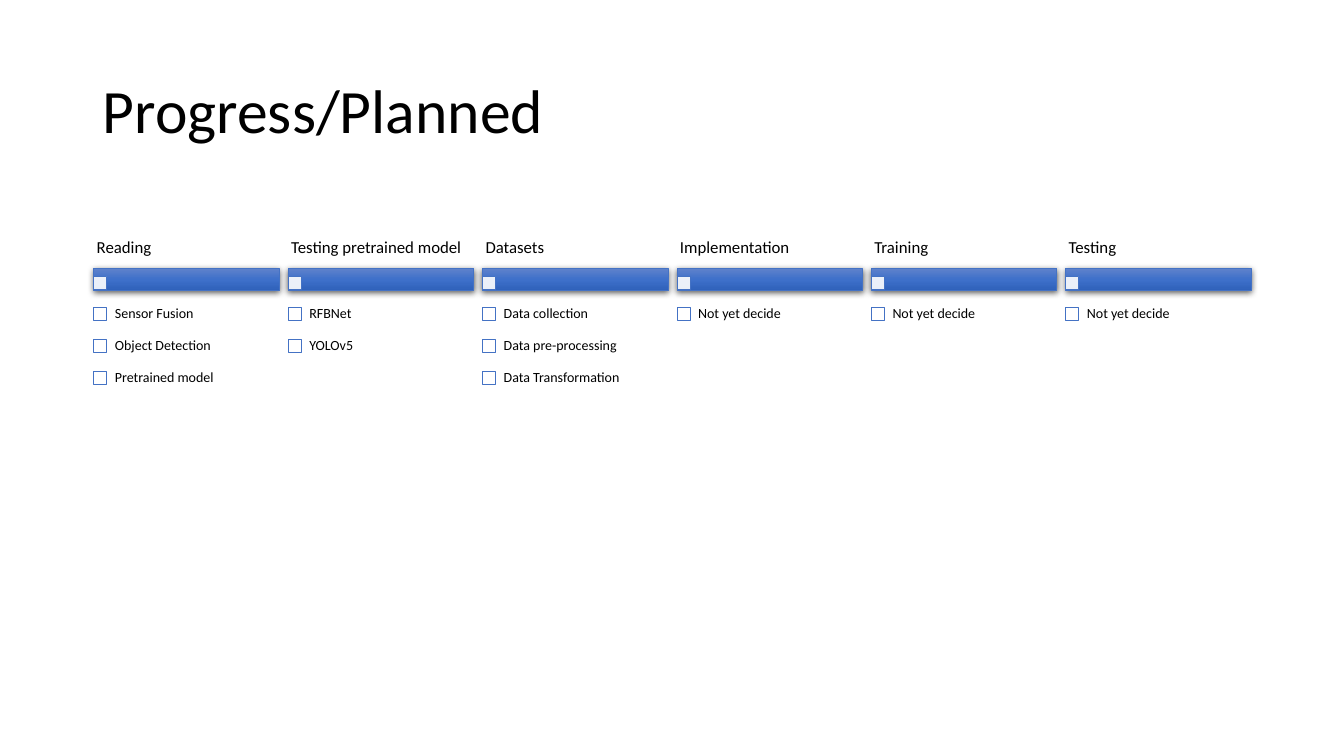
from copy import deepcopy
from dataclasses import dataclass

from lxml import etree
from pptx import Presentation
from pptx.dml.color import RGBColor
from pptx.enum import shapes, text
from pptx.oxml.ns import qn
from pptx.util import Inches, Pt

COLORS = {
    "text": "000000",
    "line": "4472C4",
    "box": "FFFFFF",
    "bar_top": "6183CB",
    "bar_middle": "3E70CA",
    "bar_bottom": "3062BB",
}
FONT = "Calibri"
LEFT, COLUMN_STEP, COLUMN_WIDTH = 0.93, 1.928, 1.84
ITEM_TOP, ITEM_STEP, ITEM_HEIGHT = 2.96, 0.315, 0.31
BOX = 0.13


@dataclass
class Phase:
    title: str
    tasks: list[str]


PHASES = [
    Phase("Reading", ["Sensor Fusion", "Object Detection", "Pretrained model"]),
    Phase("Testing pretrained model", ["RFBNet", "YOLOv5"]),
    Phase("Datasets", ["Data collection", "Data pre-processing", "Data Transformation"]),
    Phase("Implementation", ["Not yet decide"]),
    Phase("Training", ["Not yet decide"]),
    Phase("Testing", ["Not yet decide"]),
]


def rgb(name: str) -> RGBColor:
    return RGBColor.from_string(COLORS[name])


def write(tf, content: str, size: float) -> None:
    tf.word_wrap = True
    tf.auto_size = text.MSO_AUTO_SIZE.NONE
    tf.vertical_anchor = text.MSO_ANCHOR.MIDDLE
    p = tf.paragraphs[0]
    p.text = content
    p.alignment = text.PP_ALIGN.LEFT
    p.line_spacing = 0.9
    p.font.name = FONT
    p.font.size = Pt(size)
    p.font.color.rgb = rgb("text")


def add_label(s, content: str, x: float, y: float, w: float, h: float,
              size: float, inset_x: float, inset_y: float) -> None:
    tf = s.shapes.add_textbox(Inches(x), Inches(y), Inches(w), Inches(h)).text_frame
    tf.margin_left = tf.margin_right = Inches(inset_x)
    tf.margin_top = tf.margin_bottom = Inches(inset_y)
    write(tf, content, size)


def add_rect(s, x: float, y: float, w: float, h: float):
    sp = s.shapes.add_shape(shapes.MSO_SHAPE.RECTANGLE,
                            Inches(x), Inches(y), Inches(w), Inches(h))
    sp.line.color.rgb = rgb("line")
    sp.line.width = Pt(0.5)
    sp.shadow.inherit = False
    return sp


def add_box(s, x: float, y: float, opacity: int = 100) -> None:
    sp = add_rect(s, x, y, BOX, BOX)
    sp.fill.solid()
    sp.fill.fore_color.rgb = rgb("box")
    if opacity < 100:
        color = sp._element.spPr.find(f"{qn('a:solidFill')}/{qn('a:srgbClr')}")
        etree.SubElement(color, qn("a:alpha"), val=str(opacity * 1000))


def add_bar(s, x: float) -> None:
    """Draw a phase bar with a three-stop gradient and a soft shadow below."""
    sp = add_rect(s, x, 2.66, COLUMN_WIDTH, 0.22)
    sp.fill.gradient()
    sp.fill.gradient_angle = 270
    spPr = sp._element.spPr
    stops = spPr.find(f"{qn('a:gradFill')}/{qn('a:gsLst')}")
    stops.insert(1, deepcopy(stops[0]))
    names = ("bar_top", "bar_middle", "bar_bottom")
    for stop, name, position in zip(sp.fill.gradient_stops, names, (0, 0.5, 1)):
        stop.color.rgb = rgb(name)
        stop.position = position
    shadow = etree.SubElement(spPr.find(qn("a:effectLst")), qn("a:outerShdw"),
                              blurRad=str(Pt(4.5)), dist=str(Pt(1.5)),
                              dir="5400000", algn="ctr", rotWithShape="0")
    color = etree.SubElement(shadow, qn("a:srgbClr"), val=COLORS["text"])
    etree.SubElement(color, qn("a:alpha"), val="63000")


def add_phase(s, phase: Phase, x: float) -> None:
    add_bar(s, x)
    add_box(s, x, 2.74, opacity=90)
    add_label(s, phase.title, x, 2.27, COLUMN_WIDTH, 0.39, 12, 0.03, 0.02)
    for row, task in enumerate(phase.tasks):
        y = ITEM_TOP + row * ITEM_STEP
        add_box(s, x, y + 0.09)
        add_label(s, task, x + BOX, y, COLUMN_WIDTH - BOX, ITEM_HEIGHT, 10, 0.08, 0.08)


def main() -> None:
    prs = Presentation()
    prs.slide_width, prs.slide_height = Inches(13.33), Inches(7.5)
    s = prs.slides.add_slide(prs.slide_layouts[5])
    title = s.shapes.title
    title.left, title.top = Inches(0.92), Inches(0.4)
    title.width, title.height = Inches(11.5), Inches(1.45)
    write(title.text_frame, "Progress/Planned", 44)
    for column, phase in enumerate(PHASES):
        add_phase(s, phase, LEFT + column * COLUMN_STEP)
    prs.save("out.pptx")


if __name__ == "__main__":
    main()
